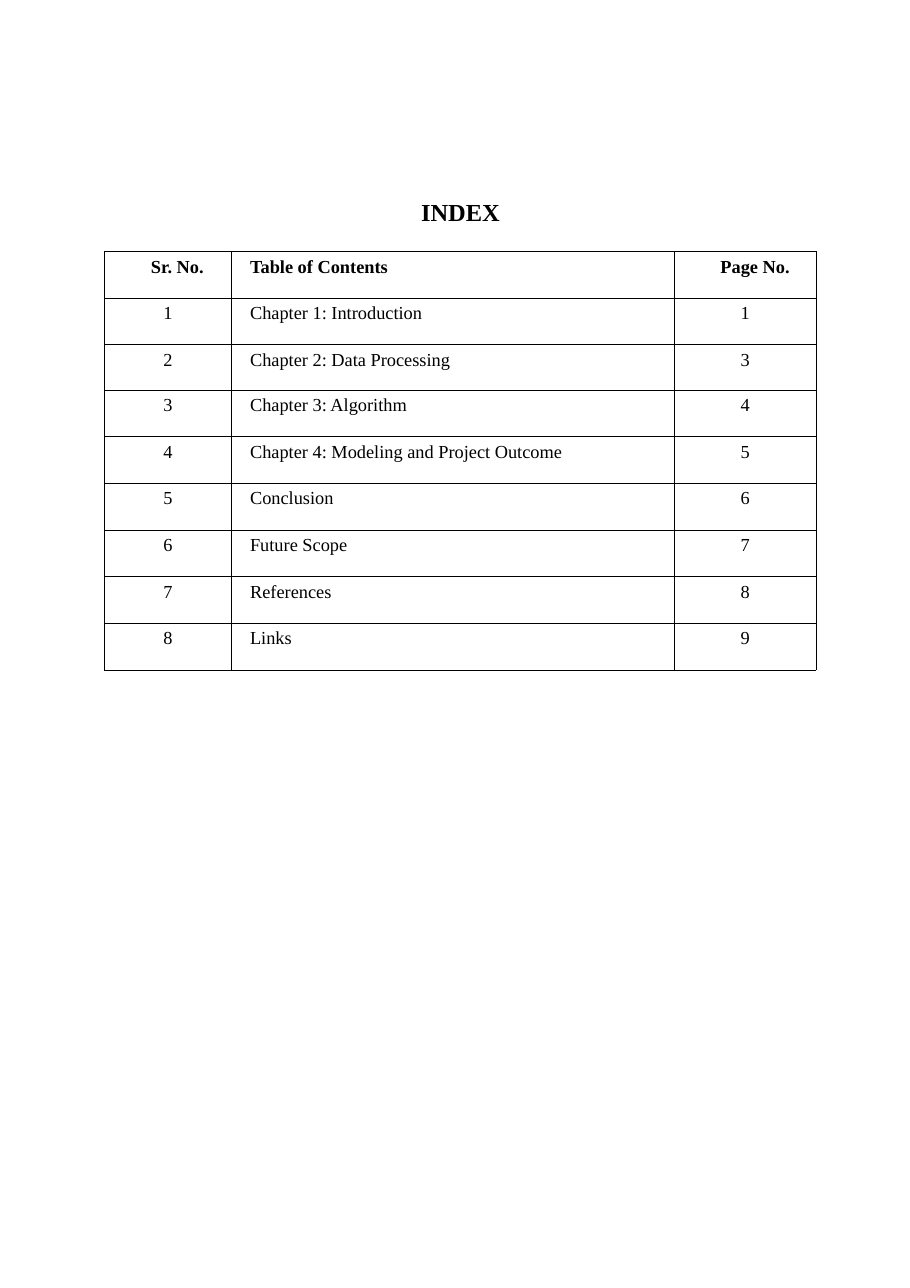
from lxml import etree
from pptx import Presentation
from pptx.dml.color import RGBColor
from pptx.enum.text import MSO_ANCHOR, MSO_AUTO_SIZE, PP_ALIGN
from pptx.oxml.ns import qn
from pptx.util import Inches, Pt

BLACK = RGBColor(0, 0, 0)
FONT = "Times New Roman"
CENTER, LEFT = PP_ALIGN.CENTER, PP_ALIGN.LEFT
TOP, NO_AUTOFIT = MSO_ANCHOR.TOP, MSO_AUTO_SIZE.NONE
BORDER = Pt(0.28)

HEADER = ("Sr. No.", "Table of Contents", "Page No.")
ENTRIES = [
    ("Chapter 1: Introduction", 1),
    ("Chapter 2: Data Processing", 3),
    ("Chapter 3: Algorithm", 4),
    ("Chapter 4: Modeling and Project Outcome", 5),
    ("Conclusion", 6),
    ("Future Scope", 7),
    ("References", 8),
    ("Links", 9),
]
COL_WIDTHS = (1.15, 4.02, 1.29)
TABLE_HEIGHT = 3.8
SHORT_ROW, SHORT_HEIGHT = 2, 0.41


def format_text(tf, size, bold, align):
    p = tf.paragraphs[0]
    p.alignment = align
    font = p.runs[0].font
    font.name, font.size, font.bold = FONT, Pt(size), bold
    font.color.rgb = BLACK


def add_borders(cell):
    tcPr = cell._tc.get_or_add_tcPr()
    for side in ("a:lnL", "a:lnR", "a:lnT", "a:lnB"):
        ln = etree.SubElement(tcPr, qn(side), w=str(BORDER))
        fill = etree.SubElement(ln, qn("a:solidFill"))
        etree.SubElement(fill, qn("a:srgbClr"), val=str(BLACK))


prs = Presentation()
prs.slide_width, prs.slide_height = Inches(8.26), Inches(11.69)
s = prs.slides.add_slide(prs.slide_layouts[5])

title = s.shapes.title
title.left, title.top = Inches(3.81), Inches(1.79)
title.width, title.height = Inches(0.74), Inches(0.27)
tf = title.text_frame
tf.text = "INDEX"
tf.margin_left = tf.margin_right = tf.margin_top = tf.margin_bottom = 0
tf.vertical_anchor = TOP
tf.auto_size = NO_AUTOFIT
tf.word_wrap = False
format_text(tf, 16, True, CENTER)

rows = [HEADER] + [(str(n), name, str(page))
                   for n, (name, page) in enumerate(ENTRIES, 1)]
table = s.shapes.add_table(
    len(rows), len(HEADER), Inches(0.95), Inches(2.28),
    Inches(sum(COL_WIDTHS)), Inches(TABLE_HEIGHT)).table
table.first_row = table.horz_banding = False

for col, width in zip(table.columns, COL_WIDTHS):
    col.width = Inches(width)
row_height = (TABLE_HEIGHT - SHORT_HEIGHT) / (len(rows) - 1)
for i, row in enumerate(table.rows):
    row.height = Inches(SHORT_HEIGHT if i == SHORT_ROW else row_height)

for i, texts in enumerate(rows):
    is_header = i == 0
    for j, text in enumerate(texts):
        is_name = j == 1
        cell = table.cell(i, j)
        cell.text = text
        if is_name:
            cell.margin_left = Inches(0.17)
        elif is_header:
            cell.margin_left = Inches(0.42)
        align = LEFT if is_header or is_name else CENTER
        format_text(cell.text_frame, 12, is_header, align)
        add_borders(cell)
        cell.fill.background()

prs.save("out.pptx")
